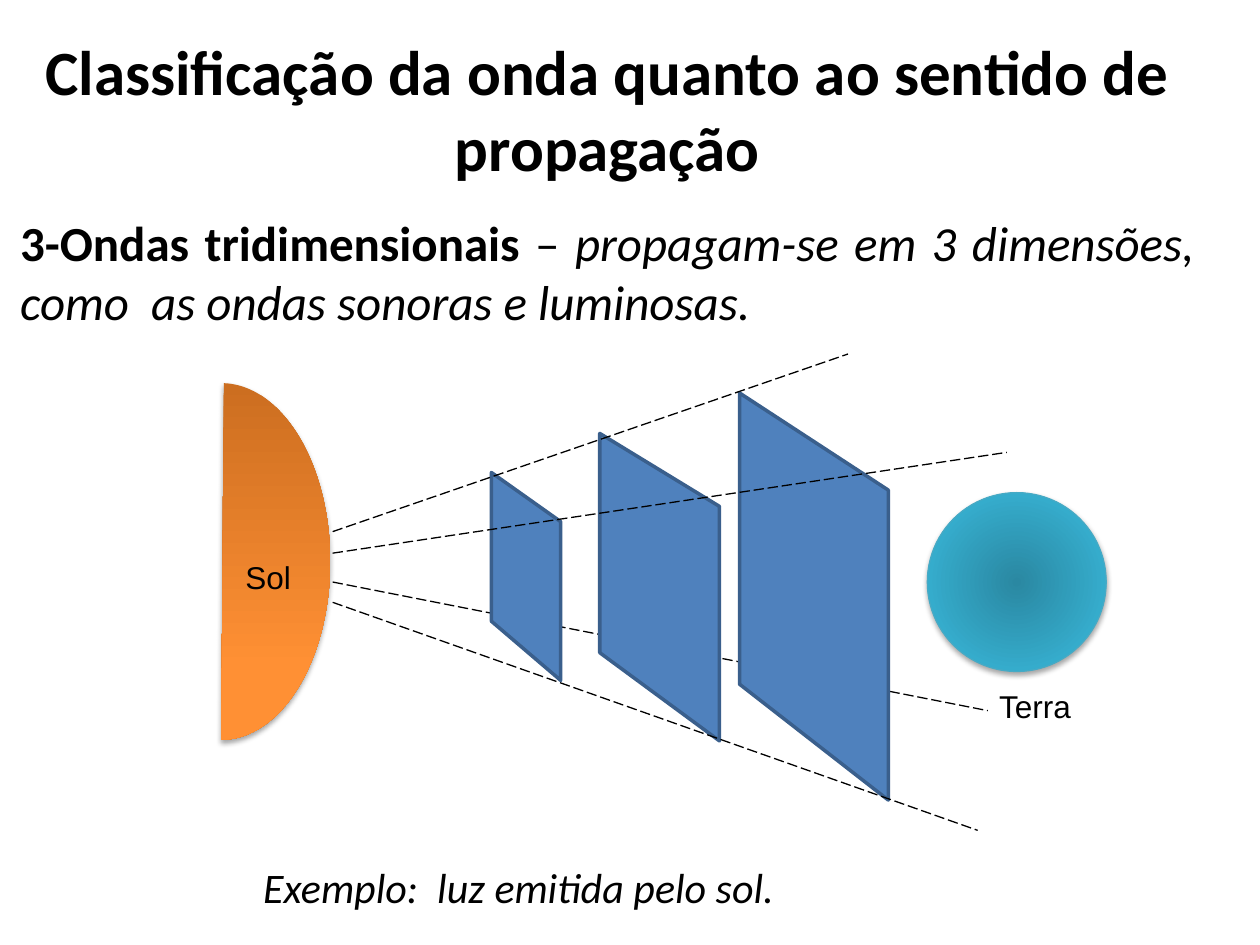
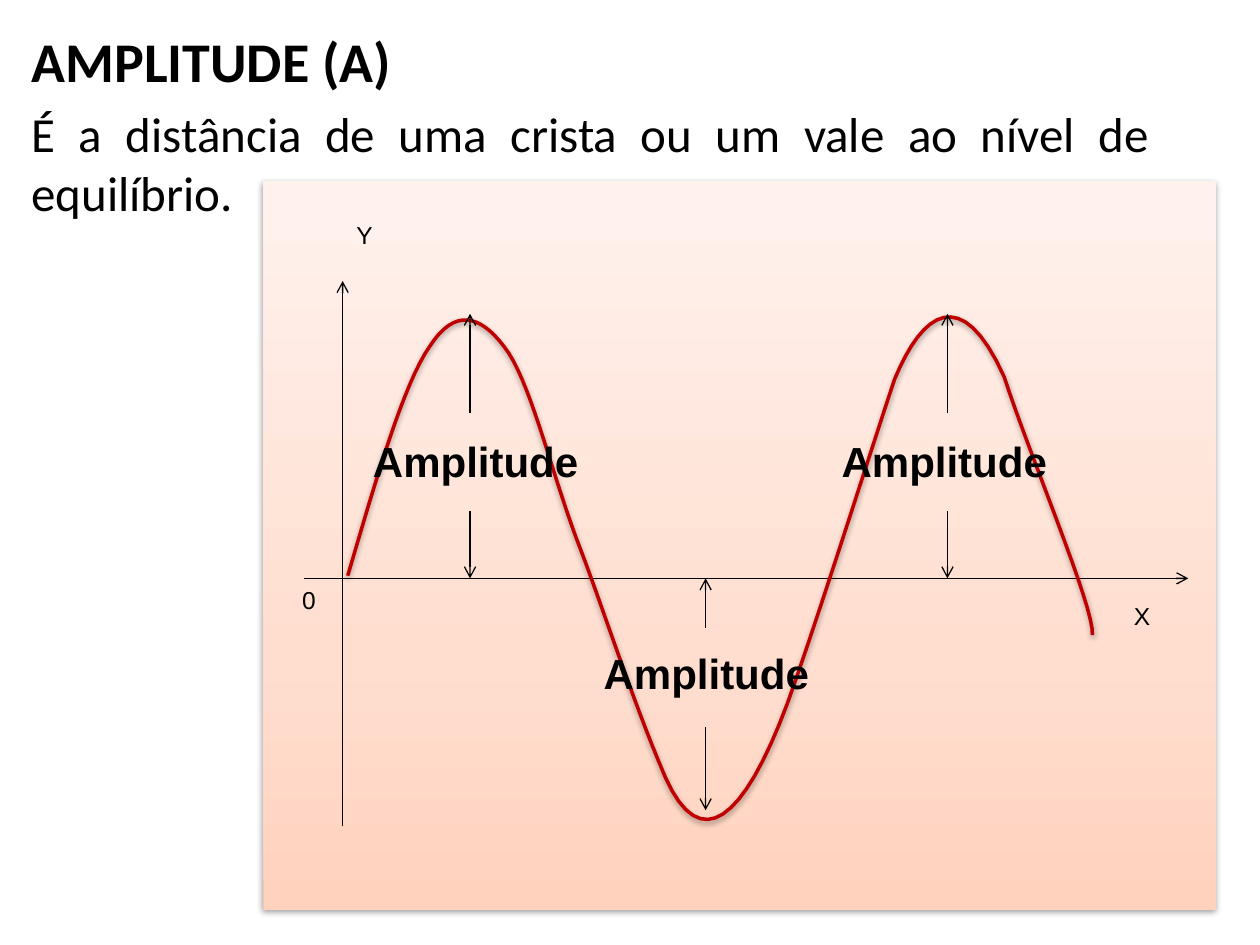
"""Build two slides on waves: three-dimensional propagation and amplitude."""
import pptx
import pptx.util
import pptx.dml.color
import pptx.enum.dml
import pptx.enum.shapes
import pptx.enum.text
import pptx.oxml
import pptx.oxml.ns
import lxml.etree

Pt = pptx.util.Pt
Shape = pptx.enum.shapes.MSO_SHAPE
Align = pptx.enum.text.PP_ALIGN
qn = pptx.oxml.ns.qn
hues = {
    "ink": "000000", "panel": "4F81BD", "edge": "3A5F8C",
    "rim": "46AAC5", "wave": "C00000",
}
fades = {
    "sun": ((0, "CC6E20"), (80, "FF9034"), (100, "FF9136")),
    "earth": ((0, "2A88A2"), (80, "37B1D2"), (100, "34B4D6")),
    "plot": ((0, "FFD2BD"), (35, "FFDED0"), (100, "FFF2ED")),
}
rgb = {key: pptx.dml.color.RGBColor.from_string(hue) for key, hue in hues.items()}


def write(frame, text, size, font="Calibri", bold=False, ital=False, align=None):
    """Fill the last paragraph of a frame and format it."""
    par = frame.paragraphs[-1]
    run = par.add_run()
    run.text = text
    run.font.size, run.font.name = Pt(size), font
    run.font.bold, run.font.italic = bold, ital
    run.font.color.rgb = rgb["ink"]
    par.alignment = align
    return par


def draw(slide, start, end, arrow=False):
    """Draw a thin line, dashed unless it has an arrowhead."""
    line = slide.shapes.add_connector(
        pptx.enum.shapes.MSO_CONNECTOR.STRAIGHT, *map(Pt, start + end))
    line.line.color.rgb = rgb["ink"]
    line.line.width = Pt(0.75)
    if arrow:
        lxml.etree.SubElement(line.get_or_add_ln(), qn("a:tailEnd"), type="arrow")
    else:
        line.line.dash_style = pptx.enum.dml.MSO_LINE.LONG_DASH
    lxml.etree.SubElement(line._element.spPr, qn("a:effectLst"))


deck = pptx.Presentation()
deck.slide_width, deck.slide_height = Pt(720), Pt(540)
space = deck.slides.add_slide(deck.slide_layouts[1])
graph = deck.slides.add_slide(deck.slide_layouts[1])
graph.shapes.title._element.getparent().remove(graph.shapes.title._element)

frames = []
for holder, box in (
    (space.shapes.title, (9.4, 15.1, 675.4, 94.3)),
    (space.placeholders[1], (4.3, 118, 685.4, 75)),
    (graph.placeholders[1], (10.8, 11.5, 653, 183.6)),
):
    holder.left, holder.top, holder.width, holder.height = map(Pt, box)
    frame = holder.text_frame
    frame.auto_size = pptx.enum.text.MSO_AUTO_SIZE.NONE
    frame.vertical_anchor = pptx.enum.text.MSO_ANCHOR.TOP
    frames.append(frame)
head, lead, about = frames
about.add_paragraph()
for par in [*lead.paragraphs, *about.paragraphs]:
    par.space_before = Pt(0)
    props = par._p.get_or_add_pPr()
    props.set("marL", "0")
    props.set("indent", "0")
    lxml.etree.SubElement(props, qn("a:buNone"))

write(head, "Classificação da onda quanto ao sentido de propagação", 36,
      bold=True, align=Align.CENTER)
for text, bold, ital in (
    ("3-Ondas tridimensionais ", True, False),
    ("– ", False, False),
    ("propagam-se em 3 dimensões, como  as ondas sonoras e luminosas.", False, True),
):
    write(lead, text, 28, bold=bold, ital=ital, align=Align.JUSTIFY)

par = write(about, "É a distância de uma crista ou um vale ao nível de equilíbrio.",
            28, align=Align.JUSTIFY)
par.space_before = Pt(5.6)
first = about.paragraphs[0]
first.text = "AMPLITUDE (A)"
first.alignment = Align.JUSTIFY
font = first.runs[0].font
font.size, font.name, font.bold = Pt(32), "Calibri", True
font.color.rgb = rgb["ink"]

rays = [((190.1, 332.6), (564.5, 406.1)), ((190.1, 303.8), (484.6, 202.3)),
        ((190.1, 316.1), (575.3, 258.5)), ((190.1, 344.2), (558.7, 474.5))]
draw(space, *rays[0])
sun = space.shapes.add_shape(Shape.CHORD, *map(Pt, (64.1, 218.9, 124.6, 203.8)))
sun.rotation = 180
sun.adjustments[0], sun.adjustments[1] = 54.5, 162
earth = space.shapes.add_shape(Shape.OVAL, *map(Pt, (529.9, 281.5, 102.2, 102.2)))

for left, right, *tops in (
    (280.8, 320.4, 270, 298.1, 388.8, 355),
    (342.7, 411.1, 247.7, 289.4, 423.4, 373),
    (422.6, 507.6, 224.6, 280.1, 457.2, 391),
):
    spots = [(Pt(x), Pt(y)) for x, y in zip((left, right, right, left), tops)]
    pen = space.shapes.build_freeform(*spots[0])
    pen.add_line_segments(spots[1:], close=True)
    panel = pen.convert_to_shape()
    panel.shadow.inherit = False
    panel.fill.solid()
    panel.fill.fore_color.rgb = rgb["panel"]
    panel.line.color.rgb = rgb["edge"]
    panel.line.width = Pt(2)
for ray in rays[1:]:
    draw(space, *ray)

plot = graph.shapes.add_shape(Shape.RECTANGLE, *map(Pt, (150.5, 103.7, 544.3, 416.2)))
base = 330.5
draw(graph, (173.5, base), (679, base), True)
draw(graph, (195.8, 472.3), (195.8, 160.6), True)

knots = [
    (198.7, 329), (214.6, 275), (230.4, 219.6), (245.5, 198),
    (259.9, 175.7), (274.3, 180), (288, 198), (302.4, 216),
    (313.9, 265.7), (329, 306.7), (344.9, 347.8), (360, 396.7),
    (380.2, 444.2), (400.3, 488.9), (424.8, 469.4), (450, 401.8),
    (468, 351.4), (496.8, 259.9), (511.2, 216.7), (527, 178.6),
    (549.4, 161.3), (573.8, 215.3), (588.2, 259.9), (625.7, 347.8),
    (624.2, 362.9),
]
steps = 16
trace = []
for i in range(0, len(knots) - 1, 3):
    for k in range(1, steps + 1):
        t = k / steps
        mix = ((1 - t) ** 3, 3 * t * (1 - t) ** 2, 3 * t * t * (1 - t), t ** 3)
        trace.append([Pt(sum(m * knot[axis] for m, knot in zip(mix, knots[i:i + 4])))
                      for axis in (0, 1)])
pen = graph.shapes.build_freeform(*map(Pt, knots[0]))
pen.add_line_segments(trace, close=False)
wave = pen.convert_to_shape()
wave.fill.background()
wave.line.color.rgb = rgb["wave"]
wave.line.width = Pt(2)

for x, *spans in (
    (268.6, (236.2, 179.3), (292.3, base)),
    (403.2, (415.4, 463), (358.6, base)),
    (541.4, (236.2, 179.3), (292.3, base)),
):
    for start, end in spans:
        draw(graph, (x, start), (x, end), True)

for slide, text, box, size in (
    (space, "Sol", (133.2, 315.4, 41, 28.8), 18),
    (space, "Terra", (563.8, 388.8, 56.2, 28.8), 18),
    (space, "Exemplo:  luz emitida pelo sol.", (143.3, 488.9, 315.4, 36), 24),
    (graph, "Amplitude", (205.2, 245.5, 133.2, 36), 24),
    (graph, "Amplitude", (473, 245.5, 133.2, 36), 24),
    (graph, "Amplitude", (337, 366.5, 133.2, 36), 24),
    (graph, "Y", (196.6, 122.4, 32.4, 40.3), 14),
    (graph, "0", (165.6, base, 30.2, 40.3), 14),
    (graph, "X", (640.8, 339.8, 32.4, 40.3), 14),
):
    frame = slide.shapes.add_textbox(*map(Pt, box)).text_frame
    note = text.startswith("Exemplo")
    large = text == "Amplitude"
    frame.word_wrap = note
    write(frame, text, size, "Calibri" if note else "Arial", bold=large, ital=note,
          align=Align.CENTER if large else Align.LEFT)

for shape, fade in ((sun, "sun"), (earth, "earth"), (plot, "plot")):
    stops = "".join(f'<a:gs pos="{pos * 1000}"><a:srgbClr val="{hue}"/></a:gs>'
                    for pos, hue in fades[fade])
    way = '<a:lin ang="16200000" scaled="0"/>'
    if shape is earth:
        way = ('<a:path path="circle"><a:fillToRect l="50000" t="50000" '
               'r="50000" b="50000"/></a:path>')
    shape._element.spPr.insert(2, pptx.oxml.parse_xml(
        f'<a:gradFill rotWithShape="1" {pptx.oxml.ns.nsdecls("a")}>'
        f'<a:gsLst>{stops}</a:gsLst>{way}</a:gradFill>'))
    shape.line.fill.background()
earth.line.color.rgb = rgb["rim"]
earth.line.width = Pt(0.75)

for shape, alpha, drop in ((sun, 35, 1.8), (earth, 35, 1.8), (plot, 38, 1.6), (wave, 38, 1.6)):
    shape.shadow.inherit = False
    shape._element.spPr.find(qn("a:effectLst")).append(pptx.oxml.parse_xml(
        f'<a:outerShdw {pptx.oxml.ns.nsdecls("a")} blurRad="{Pt(3.1)}" dist="{Pt(drop)}" '
        f'dir="5400000" rotWithShape="0"><a:srgbClr val="{hues["ink"]}">'
        f'<a:alpha val="{alpha * 1000}"/></a:srgbClr></a:outerShdw>'))

deck.save("out.pptx")
